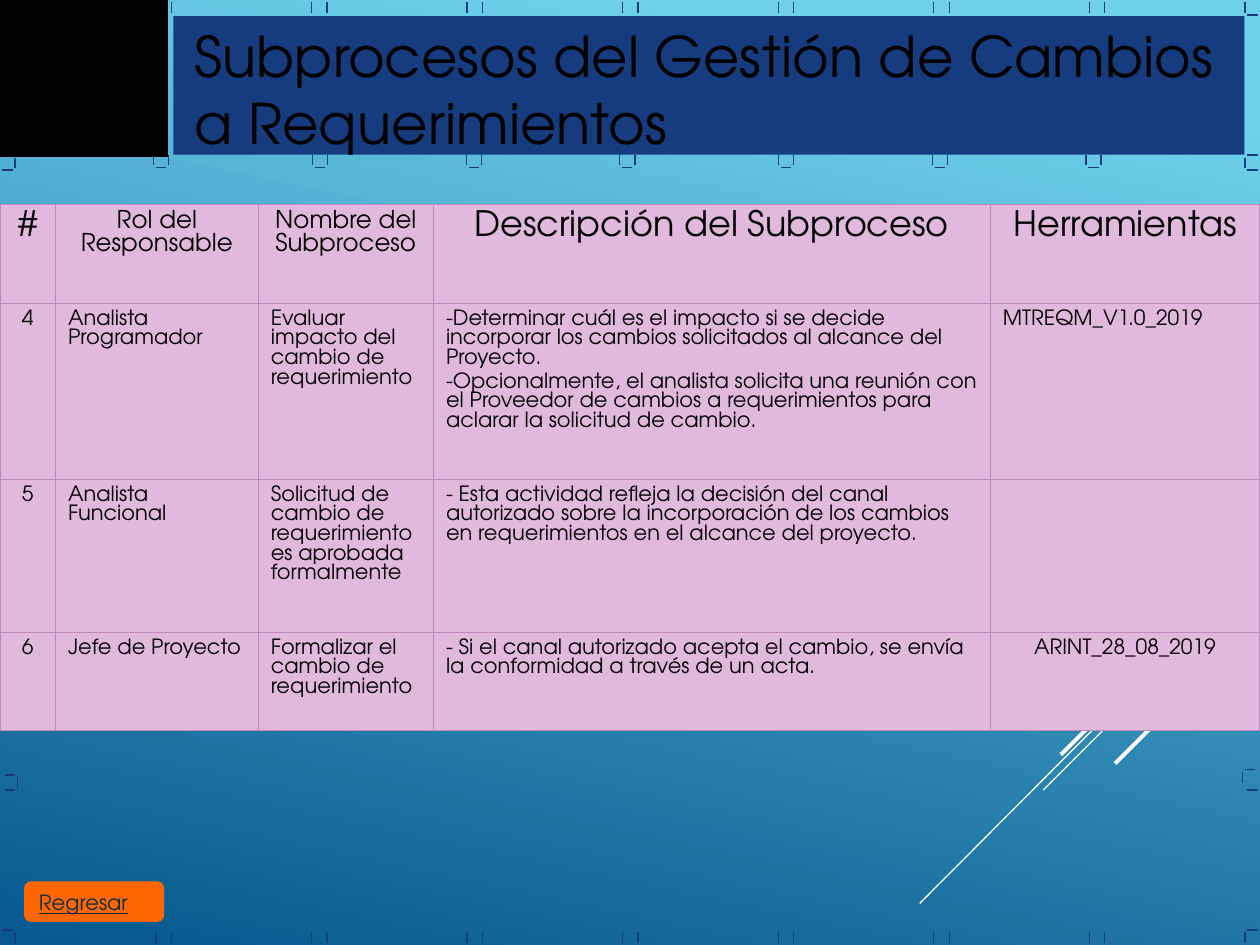
"""Build the slide on subprocesses of requirement change management."""
import pptx
import pptx.dml.color
import pptx.enum.shapes
import pptx.enum.text
import pptx.oxml
import pptx.oxml.ns
import pptx.util

Pt = pptx.util.Pt
Shape = pptx.enum.shapes.MSO_SHAPE
Align = pptx.enum.text.PP_ALIGN
Anchor = pptx.enum.text.MSO_ANCHOR
NS = pptx.oxml.ns.nsdecls("a")


def color(hex_code):
    return pptx.dml.color.RGBColor.from_string(hex_code)


def write(frame, text, size=12, ink="000000", font="TeX Gyre Adventor", align=Align.LEFT,
          before=None, bullet=None, underline=None):
    for index, line in enumerate(text.split("\n")):
        paragraph = frame.paragraphs[0] if index == 0 else frame.add_paragraph()
        paragraph.alignment = align
        paragraph.line_spacing = 1.0
        paragraph.space_before = before
        if bullet:
            properties = paragraph._p.get_or_add_pPr()
            properties.set("marL", "0")
            properties.set("indent", "0")
            properties.append(pptx.oxml.parse_xml(f'<a:buFont {NS} typeface="{font}"/>'))
            properties.append(pptx.oxml.parse_xml(f'<a:buChar {NS} char="{bullet}"/>'))
        run = paragraph.add_run()
        run.text = line
        run.font.size = Pt(size)
        run.font.name = font
        run.font.color.rgb = color(ink)
        run.font.underline = underline


class Board:
    navy = "163B7F"
    cell_fill = "E1B9DC"
    cell_border = "C089BD"
    tick_length = 5.8

    def __init__(self, slide):
        self.slide = slide

    def background(self, stops, angle):
        fill = self.slide.background.fill
        fill.gradient()
        fill.gradient_angle = angle
        for stop, (position, hex_code) in zip(fill.gradient_stops, stops):
            stop.position = position
            stop.color.rgb = color(hex_code)

    def line(self, x1, y1, x2, y2, ink, width=0.75):
        connector = self.slide.shapes.add_connector(
            pptx.enum.shapes.MSO_CONNECTOR.STRAIGHT, Pt(x1), Pt(y1), Pt(x2), Pt(y2))
        connector.line.color.rgb = color(ink)
        connector.line.width = Pt(width)
        connector._element.spPr.append(pptx.oxml.parse_xml(f"<a:effectLst {NS}/>"))

    def upright_tick(self, x, y):
        self.line(x, y + self.tick_length, x, y, self.navy)

    def flat_tick(self, x, y):
        self.line(x, y, x + self.tick_length, y, self.navy)

    def block(self, kind, left, top, width, height, fill, border=None):
        block = self.slide.shapes.add_shape(kind, Pt(left), Pt(top), Pt(width), Pt(height))
        block.shadow.inherit = False
        block.fill.solid()
        block.fill.fore_color.rgb = color(fill)
        if border:
            block.line.color.rgb = color(fill)
            block.line.width = Pt(border)
        else:
            block.line.fill.background()
        return block

    def text(self, left, top, width, height, content, **style):
        box = self.slide.shapes.add_textbox(Pt(left), Pt(top), Pt(width), Pt(height))
        box.text_frame.word_wrap = True
        write(box.text_frame, content, **style)

    def cell(self, cell, content, **style):
        properties = cell._tc.get_or_add_tcPr()
        for side in "LRTB":
            properties.append(pptx.oxml.parse_xml(
                f'<a:ln{side} {NS} w="{Pt(0.75)}"><a:solidFill>'
                f'<a:srgbClr val="{self.cell_border}"/></a:solidFill></a:ln{side}>'))
        cell.fill.solid()
        cell.fill.fore_color.rgb = color(self.cell_fill)
        if content:
            write(cell.text_frame, content, before=Pt(style["size"] * 0.2), **style)

    def table(self, left, top, widths, heights, rows, header_sizes, centred):
        table = self.slide.shapes.add_table(
            len(heights), len(widths), Pt(left), Pt(top),
            Pt(sum(widths)), Pt(sum(heights))).table
        table.first_row = table.horz_banding = False
        for column, width in zip(table.columns, widths):
            column.width = Pt(width)
        for row, height in zip(table.rows, heights):
            row.height = Pt(height)
        for r, row in enumerate(rows):
            for c, content in enumerate(row):
                middle = r == 0 or c == 0 or (r, c) in centred
                self.cell(table.cell(r, c), content,
                          size=header_sizes[c] if r == 0 else 12,
                          align=Align.CENTER if middle else Align.LEFT,
                          bullet="-" if "\n" in content else None)


ROWS = [
    ["#", "Rol del Responsable", "Nombre del Subproceso",
     "Descripción del Subproceso", "Herramientas"],
    ["4", "Analista Programador", "Evaluar impacto del cambio de requerimiento",
     "Determinar cuál es el impacto si se decide incorporar los cambios solicitados "
     "al alcance del Proyecto.\n"
     "Opcionalmente, el analista solicita una reunión con el Proveedor de cambios a "
     "requerimientos para aclarar la solicitud de cambio.",
     "MTREQM_V1.0_2019"],
    ["5", "Analista Funcional", "Solicitud de cambio de requerimiento es aprobada formalmente",
     "- Esta actividad refleja la decisión del canal autorizado sobre la incorporación "
     "de los cambios en requerimientos en el alcance del proyecto.", ""],
    ["6", "Jefe de Proyecto", "Formalizar el cambio de requerimiento",
     "- Si el canal autorizado acepta el cambio, se envía la conformidad a través de un acta.",
     "ARINT_28_08_2019"],
]
RAYS = [(720, 321, 525.6, 516.2, 0.75), (720, 327.6, 596.2, 451.4, 0.75),
        (719.3, 318.2, 606.2, 431.3, 2.25), (719.3, 354.2, 637.2, 436.3, 2.25)]
BRACKETS = [87.8, 178.6, 266.4, 354.2, 445, 532.8, 620.6]
EDGE_UPRIGHTS = [(8.6, 90), (10.1, 444.2), (8.6, 532.8),
                 (711.4, 1.4), (711.4, 90), (709.9, 441.4), (711.4, 532.8)]
EDGE_FLATS = [(1.4, 97.2), (2.9, 442.8), (2.9, 451.4), (1.4, 531.4), (712.8, 8.6),
              (712.8, 88.6), (712.8, 97.2), (711.4, 439.9), (712.8, 451.4), (712.8, 531.4)]


def main():
    deck = pptx.Presentation()
    deck.slide_width, deck.slide_height = Pt(720), Pt(540)
    board = Board(deck.slides.add_slide(deck.slide_layouts[6]))
    board.background([(0.1, "6ED2EB"), (1, "06588E")], 258)

    for x1, y1, x2, y2, width in RAYS:
        board.line(x1, y1, x2, y2, "FFFFFF", width)
    for column in range(7):
        right = 97.9 + 88.9 * column
        for x in (right - 8.8, right):
            board.upright_tick(x, 532.8)
            if x > 96:
                board.upright_tick(x, 1.4)
    board.block(Shape.RECTANGLE, 99.1, 9.2, 612, 79.2, board.navy)
    for left in BRACKETS:
        board.upright_tick(left, 88.6)
        board.upright_tick(left + 8.6, 88.6)
        board.flat_tick(left + 1.4, 95.8)
    for x, y in EDGE_UPRIGHTS:
        board.upright_tick(x, y)
    for x, y in EDGE_FLATS:
        board.flat_tick(x, y)
    board.block(Shape.RECTANGLE, 0, -0.7, 95.8, 90, "000000", border=1)

    board.table(0, 116.9, [31.7, 115.9, 100.1, 318.2, 154.1], [56.6, 100.6, 87.3, 56.2],
                ROWS, header_sizes=[20, 14, 14, 20, 20], centred={(3, 4)})

    back = board.block(Shape.FLOWCHART_ALTERNATE_PROCESS, 14.1, 504, 79.4, 22.5,
                       "FF6600", border=0.75).text_frame
    back.word_wrap = False
    back.vertical_anchor = Anchor.MIDDLE
    write(back, "Regresar", ink="0D2E46", underline=True)
    board.text(104.2, 8.6, 604.8, 84.2,
               "Subprocesos del Gestión de Cambios a Requerimientos", size=32)
    deck.save("out.pptx")


if __name__ == "__main__":
    main()
